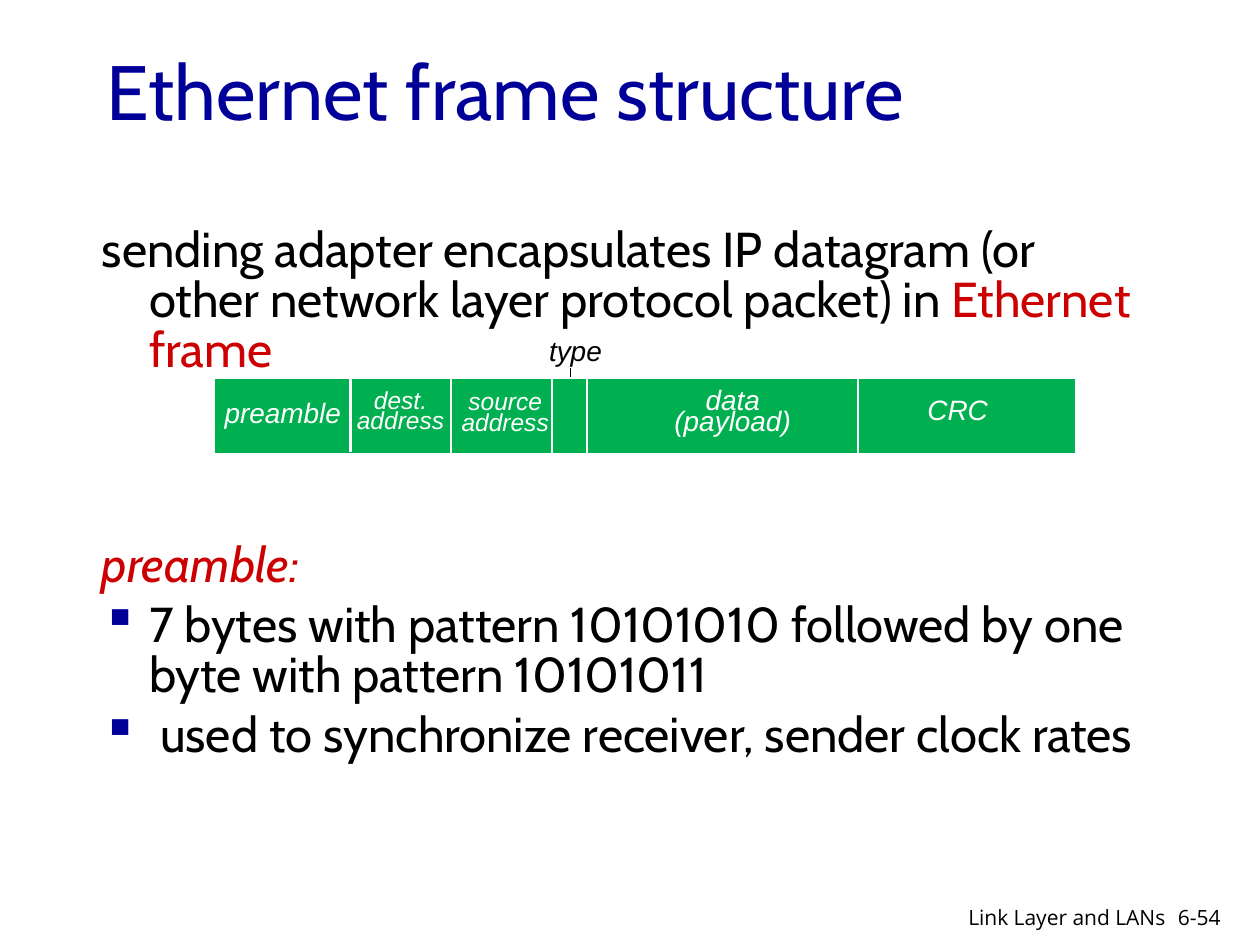
from dataclasses import dataclass

from lxml import etree
from pptx import Presentation
from pptx.dml.color import RGBColor
from pptx.enum import shapes, text
from pptx.oxml import ns
from pptx.util import Pt

BLACK, WHITE, NAVY, RED, GREEN = "000000", "FFFFFF", "000099", "CC0000", "00B050"
LEFT, MID, RIGHT = text.PP_ALIGN.LEFT, text.PP_ALIGN.CENTER, text.PP_ALIGN.RIGHT


@dataclass
class Font:
    name: str
    size: float
    color: str
    italic: bool = False


@dataclass
class Label:
    words: str
    left: float
    top: float
    width: float
    height: float
    font: Font
    align: int = LEFT
    pitch: float | None = None


@dataclass
class Rule:
    x: float
    top: float
    end: float
    color: str = WHITE
    weight: float = 1.5


@dataclass
class Item:
    spans: list[tuple[str, str]]
    before: float = 5.6
    italic: bool = False
    bullet: bool = False


def rgb(code: str) -> RGBColor:
    return RGBColor.from_string(code)


def style(run, font: Font) -> None:
    run.font.name = font.name
    run.font.size = Pt(font.size)
    run.font.italic = font.italic
    run.font.color.rgb = rgb(font.color)


def add_box(slide, left: float, top: float, width: float, height: float):
    box = slide.shapes.add_textbox(Pt(left), Pt(top), Pt(width), Pt(height))
    box.text_frame.word_wrap = True
    return box.text_frame


def add_label(slide, label: Label):
    frame = add_box(slide, label.left, label.top, label.width, label.height)
    frame.text = label.words
    for para in frame.paragraphs:
        para.alignment = label.align
        if label.pitch:
            para.line_spacing = Pt(label.pitch)
        for run in para.runs:
            style(run, label.font)
    return frame


def add_rule(slide, rule: Rule) -> None:
    line = slide.shapes.add_connector(
        shapes.MSO_CONNECTOR.STRAIGHT,
        Pt(rule.x), Pt(rule.top), Pt(rule.x), Pt(rule.end))
    line.line.color.rgb = rgb(rule.color)
    line.line.width = Pt(rule.weight)
    etree.SubElement(line._element.spPr, ns.qn("a:effectLst"))


def add_bar(slide, left: float, top: float, width: float, height: float) -> None:
    bar = slide.shapes.add_shape(
        shapes.MSO_SHAPE.RECTANGLE, Pt(left), Pt(top), Pt(width), Pt(height))
    bar.shadow.inherit = False
    bar.fill.solid()
    bar.fill.fore_color.rgb = rgb(GREEN)
    bar.line.color.rgb = rgb(WHITE)
    bar.line.width = Pt(0.75)


def indent(para, bullet: bool) -> None:
    """Hang the first line by 27 pt and set its bullet, if any."""
    props = para._p.get_or_add_pPr()
    props.set("marL", str(Pt(27)))
    props.set("indent", str(Pt(-27)))
    if bullet:
        color = etree.SubElement(props, ns.qn("a:buClr"))
        etree.SubElement(color, ns.qn("a:srgbClr")).set("val", NAVY)
        etree.SubElement(props, ns.qn("a:buChar")).set("char", "▪")
    else:
        etree.SubElement(props, ns.qn("a:buNone"))


def add_items(frame, items: list[Item]) -> None:
    for i, item in enumerate(items):
        para = frame.add_paragraph() if i else frame.paragraphs[0]
        para.line_spacing = 0.85
        para.space_before = Pt(item.before)
        indent(para, item.bullet)
        for words, color in item.spans:
            run = para.add_run()
            run.text = words
            style(run, Font("Cabin", 28, color, item.italic))


SMALL = Font("Arial", 14, WHITE, True)
LARGE = Font("Arial", 16, WHITE, True)
FOOT = Font("Open Sans", 12, BLACK)

ITEMS = [
    Item([("sending adapter encapsulates IP datagram (or other network layer "
           "protocol packet) in ", BLACK), ("Ethernet frame", RED)]),
    Item([("preamble:", RED)], before=94, italic=True),
    Item([("7 bytes with pattern 10101010 followed by one byte with pattern "
           "10101011", BLACK)], bullet=True),
    Item([(" used to synchronize receiver, sender clock rates", BLACK)],
         bullet=True),
]
RULES = [
    Rule(200.2, 215.3, 258.5),
    Rule(257.8, 215.3, 261.4),
    Rule(315.4, 216, 259.2),
    Rule(335.5, 215.3, 261.4),
    Rule(490.3, 216, 265),
]
FIELDS = [
    Label("dest.\naddress", 195.8, 221, 66.2, 32.4, SMALL, MID, 12),
    Label("source\naddress", 255.6, 221.8, 66.2, 32.4, SMALL, MID, 12),
    Label("data (payload)", 364.3, 222.5, 108.7, 32.4, LARGE, MID, 12),
    Label("CRC", 513.4, 228.2, 67.7, 20.9, LARGE, MID, 12),
    Label("preamble", 119.5, 229.7, 84.2, 20.9, LARGE, MID, 12),
    Label("type", 306.7, 187.2, 60.5, 26.6, Font("Arial", 16, BLACK, True)),
]
FOOTER = [
    Label("6-54", 666, 513.4, 43.2, 21.6, FOOT),
    Label("Link Layer and LANs", 501.8, 513.4, 171.4, 18.7, FOOT, RIGHT),
]


def main() -> None:
    deck = Presentation()
    deck.slide_width, deck.slide_height = Pt(720), Pt(540)
    slide = deck.slides.add_slide(deck.slide_layouts[6])

    title = add_label(slide, Label("Ethernet frame structure", 54, 27.4, 612,
                                   48.2, Font("Cabin", 44, NAVY)))
    title.vertical_anchor = text.MSO_ANCHOR.MIDDLE
    add_items(add_box(slide, 51.1, 126.7, 612, 342), ITEMS)

    add_rule(slide, Rule(326.2, 210.2, 226.1, BLACK, 0.75))
    add_bar(slide, 122.4, 216, 492.5, 43.2)
    for rule in RULES:
        add_rule(slide, rule)
    for label in FIELDS + FOOTER:
        add_label(slide, label)
    deck.save("out.pptx")


if __name__ == "__main__":
    main()
